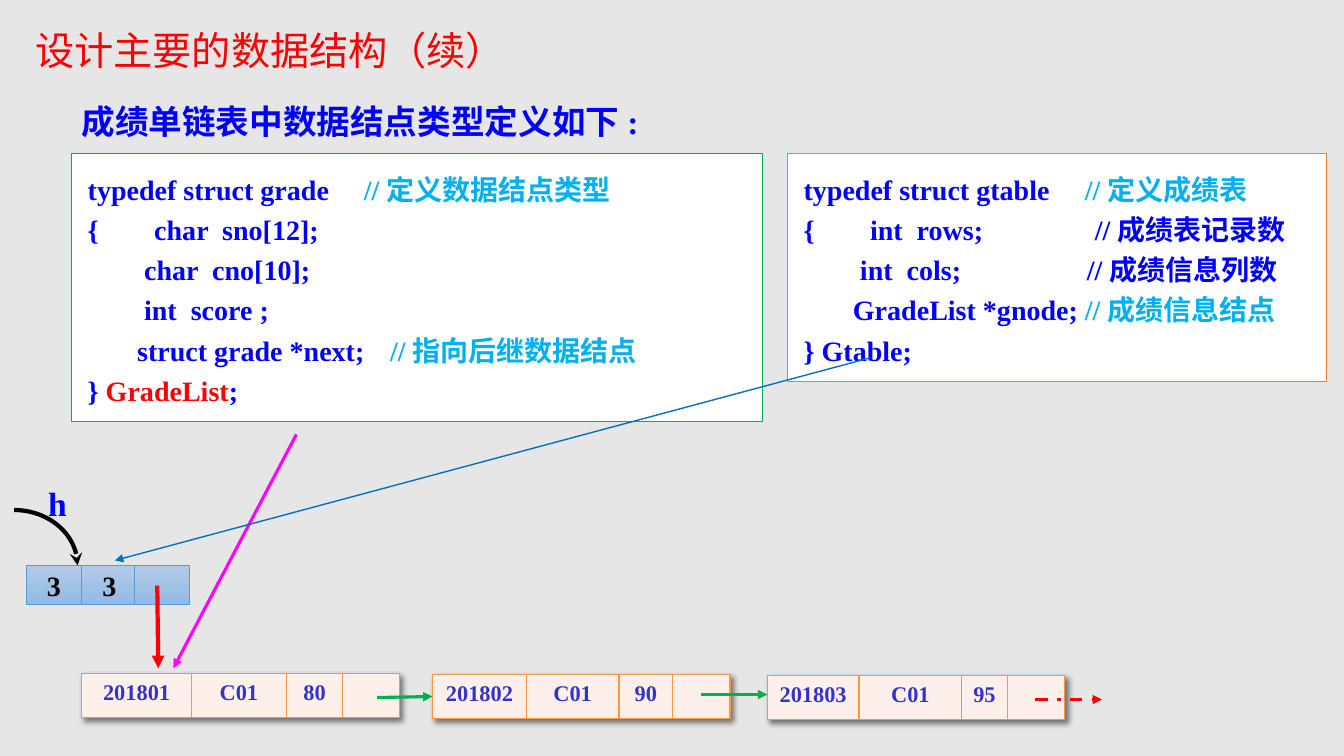
from math import cos, pi, sin

from lxml.etree import SubElement
from pptx import Presentation
from pptx.dml.color import RGBColor
from pptx.enum.dml import MSO_LINE
from pptx.enum.shapes import MSO_CONNECTOR, MSO_SHAPE
from pptx.enum.text import MSO_ANCHOR, PP_ALIGN
from pptx.oxml import parse_xml
from pptx.oxml.ns import qn
from pptx.util import Inches, Pt

COLORS = {
    "page": "E7E6E6", "white": "FFFFFF", "black": "000000", "red": "FF0000",
    "blue": "0000FF", "cyan": "00B0F0", "green": "00B050", "orange": "ED7D31",
    "magenta": "FF00FF", "link": "0070C0", "head_top": "B1CBE9",
    "head_end": "93B9E4", "head_line": "5B9BD5", "node": "FDEFE9",
    "node_line": "F79646", "node_text": "3333CC",
}
SERIF, SANS = "Times New Roman", "Noto Sans CJK SC"
DRAWING = "http://schemas.openxmlformats.org/drawingml/2006/main"

# Content
TITLE = "设计主要的数据结构（续）"
HEADING = "成绩单链表中数据结点类型定义如下:"
# Code line: (tab stops, [(text, colour), ...])
CODE_BOXES = [
    ((0.71, 1.52, 6.85, 2.66), "green", [
        ([2.74], [("typedef struct grade\t", "blue"), ("//定义数据结点类型", "cyan")]),
        ([0.66], [("{\tchar  sno[12];", "blue")]),
        ([0.56], [("\tchar  cno[10];", "blue")]),
        ([0.56], [("\tint  score ;", "blue")]),
        ([0.49, 3.0], [("\tstruct grade *next;\t", "blue"), ("//指向后继数据结点", "cyan")]),
        ([], [("} ", "blue"), ("GradeList", "red"), (";", "blue")]),
    ]),
    ((7.81, 1.52, 5.35, 2.26), "orange", [
        ([2.79], [("typedef struct gtable\t", "blue"), ("//定义成绩表", "cyan")]),
        ([0.66, 2.89], [("{\tint  rows;\t//成绩表记录数", "blue")]),
        ([0.56, 2.81], [("\tint  cols;\t//成绩信息列数", "blue")]),
        ([0.49, 2.79], [("\tGradeList *gnode;\t", "blue"), ("//成绩信息结点", "cyan")]),
        ([], [("} Gtable;", "blue")]),
    ]),
]
HEAD_CELLS = [(0.26, "3"), (0.81, "3"), (1.33, "")]
NODES = [
    ((0.81, 6.68), (1.09, 0.94, 0.56, 0.56), ("201801", "C01", "80", "")),
    ((4.29, 6.69), (0.93, 0.92, 0.53, 0.57), ("201802", "C01", "90", "")),
    ((7.61, 6.70), (0.91, 1.02, 0.45, 0.57), ("201803", "C01", "95", "")),
]
# Arrow: (start, end, colour, width, dash)
ARROWS = [
    ((1.56, 5.81), (1.57, 6.63), "red", 3, None),
    ((2.94, 4.31), (1.72, 6.63), "magenta", 2.25, None),
    ((8.63, 3.55), (1.14, 5.56), "link", 1, None),
    ((3.74, 6.92), (4.29, 6.91), "green", 2.25, None),
    ((6.95, 6.89), (7.61, 6.89), "green", 2.25, None),
    ((10.27, 6.94), (10.93, 6.94), "red", 2.25, MSO_LINE.DASH_DOT),
]


def rgb(name):
    return RGBColor.from_string(COLORS[name])


def inches(values):
    return [Inches(value) for value in values]


def style_span(span, size, color, bold=True, font=SERIF):
    span.font.size, span.font.bold, span.font.name = Pt(size), bold, font
    span.font.color.rgb = rgb(color)
    SubElement(span.font._element, qn("a:ea"), typeface=SANS)


def style_line(line, color, width):
    line.color.rgb, line.width = rgb(color), Pt(width)


def add_arrowhead(shape, kind):
    SubElement(shape.line._get_or_add_ln(), qn("a:tailEnd"), type=kind)


def add_label(page, place, text, size, color):
    box = page.shapes.add_textbox(*inches(place))
    box.text_frame.word_wrap = True
    para = box.text_frame.paragraphs[0]
    para.text = text
    style_span(para.runs[0], size, color)


def add_box(page, place, line_color):
    box = page.shapes.add_shape(MSO_SHAPE.RECTANGLE, *inches(place))
    box.shadow.inherit = False
    style_line(box.line, line_color, 0.5)
    return box


def add_code(page, place, line_color, lines):
    box = add_box(page, place, line_color)
    box.fill.solid()
    box.fill.fore_color.rgb = rgb("white")
    frame = box.text_frame
    frame.word_wrap, frame.vertical_anchor = True, MSO_ANCHOR.TOP
    frame.margin_left = frame.margin_right = Inches(0.16)
    frame.margin_top = frame.margin_bottom = Inches(0.12)
    for index, (stops, spans) in enumerate(lines):
        para = frame.add_paragraph() if index else frame.paragraphs[0]
        para.alignment, para.line_spacing = PP_ALIGN.LEFT, 1.2
        if stops:
            tabs = SubElement(para._p.get_or_add_pPr(), qn("a:tabLst"))
            for stop in stops:
                SubElement(tabs, qn("a:tab"), pos=str(Inches(stop)), algn="l")
        for text, color in spans:
            span = para.add_run()
            span.text = text
            style_span(span, 20, color)


def add_head_cell(page, left, text):
    box = add_box(page, (left, 5.61, 0.55, 0.39), "head_line")
    box.fill.gradient()
    box.fill.gradient_angle = 270
    for stop, color in zip(box.fill.gradient_stops, ("head_top", "head_end")):
        stop.color.rgb = rgb(color)
    if text:
        box.text_frame.word_wrap = False
        para = box.text_frame.paragraphs[0]
        para.text, para.alignment = text, PP_ALIGN.CENTER
        style_span(para.runs[0], 20, "black")


def add_node(page, corner, widths, texts):
    height = 0.43
    frame = page.shapes.add_table(1, len(widths), *inches((*corner, sum(widths), height)))
    table = frame.table
    table.first_row = table.horz_banding = False
    table.rows[0].height = Inches(height)
    table._tbl.tblPr.insert(0, parse_xml(
        f'<a:effectLst xmlns:a="{DRAWING}"><a:outerShdw blurRad="50800" dist="38100" '
        'dir="2700000" algn="tl"><a:srgbClr val="000000"><a:alpha val="50000"/>'
        '</a:srgbClr></a:outerShdw></a:effectLst>'))
    for column, width, cell, text in zip(table.columns, widths, table.rows[0].cells, texts):
        column.width = Inches(width)
        cell.margin_top = cell.margin_bottom = Inches(0.07)
        cell.fill.solid()
        cell.fill.fore_color.rgb = rgb("node")
        for index, side in enumerate("LRTB"):
            cell._tc.tcPr.insert(index, parse_xml(
                f'<a:ln{side} xmlns:a="{DRAWING}" w="{Pt(1)}"><a:solidFill>'
                f'<a:srgbClr val="{COLORS["node_line"]}"/></a:solidFill></a:ln{side}>'))
        if text:
            para = cell.text_frame.paragraphs[0]
            para.text, para.alignment = text, PP_ALIGN.CENTER
            style_span(para.runs[0], 16, "node_text")


def add_arrow(page, start, end, color, width, dash):
    arrow = page.shapes.add_connector(MSO_CONNECTOR.STRAIGHT, *inches((*start, *end)))
    style_line(arrow.line, color, width)
    if dash:
        arrow.line.dash_style = dash
    add_arrowhead(arrow, "triangle")
    SubElement(arrow._element.spPr, qn("a:effectLst"))


def add_head_pointer(page, left, top, width, height, steps=24):
    angles = [pi / 2 * step / steps for step in range(steps + 1)]
    points = [inches((left + width * sin(angle), top + height * (1 - cos(angle))))
              for angle in angles]
    builder = page.shapes.build_freeform(*points[0])
    builder.add_line_segments(points[1:], close=False)
    curve = builder.convert_to_shape()
    curve.shadow.inherit = False
    curve.fill.background()
    style_line(curve.line, "black", 3)
    add_arrowhead(curve, "stealth")


deck = Presentation()
deck.slide_width, deck.slide_height = Inches(13.33), Inches(7.5)
page = deck.slides.add_slide(deck.slide_layouts[5])
page.background.fill.solid()
page.background.fill.fore_color.rgb = rgb("page")

# Title and heading
title = page.shapes.title
title.left, title.top, title.width, title.height = inches((0.25, 0.21, 6.03, 0.57))
title.text_frame.text = TITLE
title.text_frame.vertical_anchor = MSO_ANCHOR.TOP
title.text_frame.paragraphs[0].alignment = PP_ALIGN.LEFT
style_span(title.text_frame.paragraphs[0].runs[0], 28, "red", False, SANS)
add_label(page, (0.71, 0.95, 6.41, 0.51), HEADING, 24, "blue")

# Type definitions
for code_box in CODE_BOXES:
    add_code(page, *code_box)

# Linked list: head record, nodes, pointers
for head_cell in HEAD_CELLS:
    add_head_cell(page, *head_cell)
add_head_pointer(page, 0.14, 5.06, 0.63, 0.55)
add_label(page, (0.38, 4.74, 0.76, 0.5), "h", 24, "blue")
for node in NODES:
    add_node(page, *node)
for arrow in ARROWS:
    add_arrow(page, *arrow)

deck.save("out.pptx")
